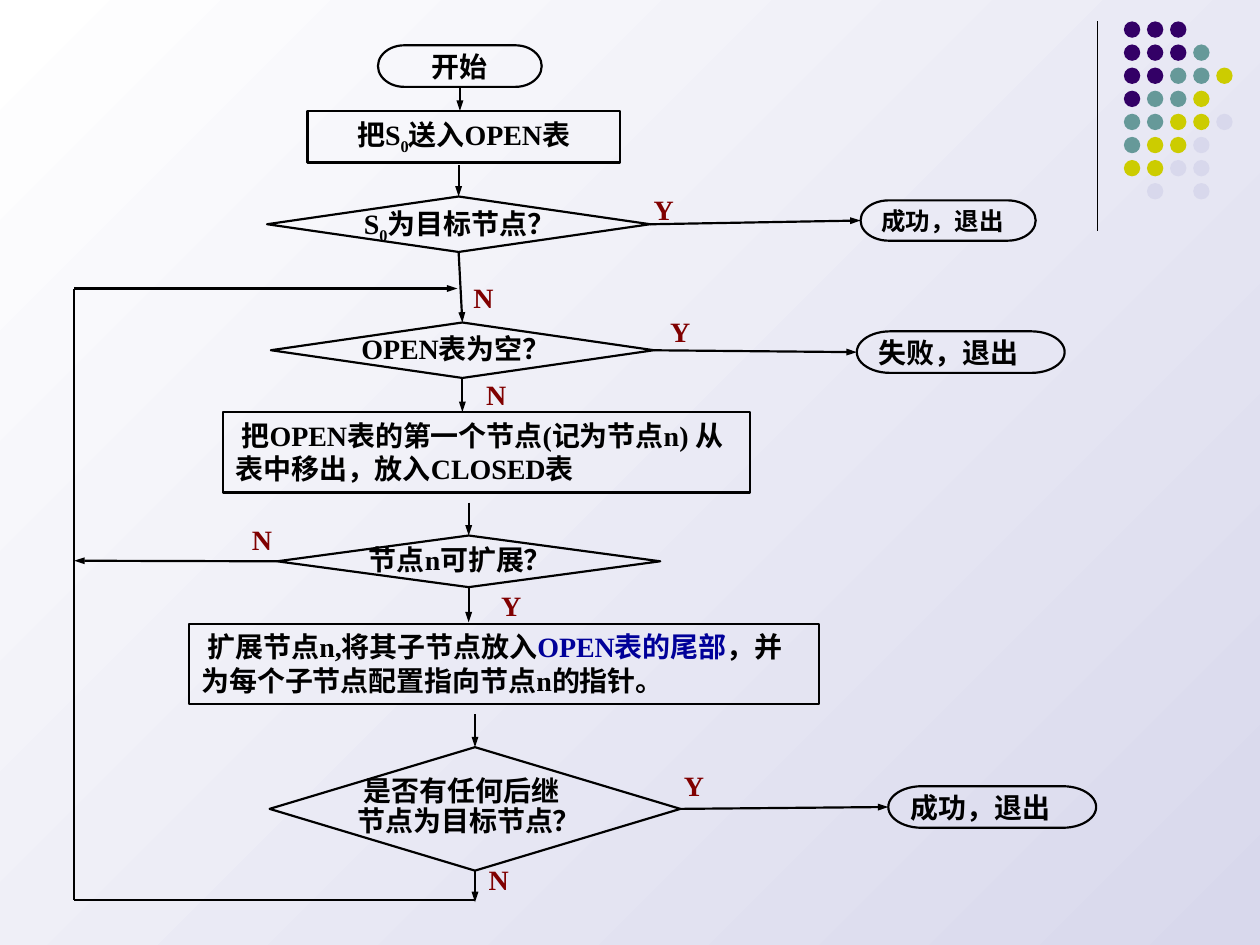
from pptx import Presentation
from pptx.dml.color import RGBColor
from pptx.enum.shapes import MSO_CONNECTOR, MSO_SHAPE
from pptx.enum.text import MSO_ANCHOR, PP_ALIGN
from pptx.util import Inches, Pt
from lxml.etree import SubElement
from pptx.oxml.ns import qn

BLACK, RED, BLUE = "000000", "800000", "000099"
TOP, LEFT, BOTTOM, RIGHT = range(4)

DOTS = ["PPP", "PPPT", "PPTTY", "PTTY", "TTYYL", "TYYL", "YYLL", ".L.L"]
TINTS = {"P": "330066", "T": "669999", "Y": "CCCC00", "L": "D8D8EC"}

# name: (left, top, width, height)
GATES = {
    "goal": (2.12, 1.56, 3.04, 0.44),
    "empty": (2.15, 2.56, 3.04, 0.44),
    "expand": (2.2, 4.25, 3.04, 0.41),
    "next": (2.14, 5.93, 3.26, 0.98),
}
# name: (box, text, size, alignment)
ENDS = {
    "start": ((3, 0.36, 1.3, 0.33), "开始", 16, PP_ALIGN.CENTER),
    "found": ((6.83, 1.59, 1.39, 0.32), "成功，退出", 14, PP_ALIGN.LEFT),
    "fail": ((6.8, 2.63, 1.65, 0.33), "失败，退出", 16, PP_ALIGN.LEFT),
    "done": ((7.05, 6.24, 1.65, 0.33), "成功，退出", 16, PP_ALIGN.LEFT),
}
# box, alignment, first-line indent, runs (text, colour, subscript)
STEPS = [
    ((2.44, 0.88, 2.48, 0.41), PP_ALIGN.CENTER, 0,
     [("把S", BLACK), ("0", BLACK, True), ("送入OPEN表", BLACK)]),
    ((1.77, 3.27, 4.18, 0.64), PP_ALIGN.LEFT, 0.05,
     [("把OPEN表的第一个节点(记为节点n) 从表中移出，放入CLOSED表", BLACK)]),
    ((1.5, 4.95, 5, 0.64), PP_ALIGN.LEFT, 0.05,
     [("扩展节点n,将其子节点放入", BLACK), ("OPEN表的尾部", BLUE),
      ("，并为每个子节点配置指向节点n的指针。", BLACK)]),
]
# box, line spacing, paragraphs (indent, runs)
ASKS = [
    ((2.79, 1.59, 1.82, 0.38), 0.9,
     [(0, [("S", BLACK), ("0", BLACK, True), ("为目标节点？", BLACK)])]),
    ((2.77, 2.61, 1.9, 0.34), 0.9, [(0, [("OPEN表为空？", BLACK)])]),
    ((2.83, 4.33, 1.9, 0.29), 0.7, [(0, [("节点n可扩展？", BLACK)])]),
    ((2.74, 6.12, 2.12, 0.58), 0.9,
     [(0.05, [("是否有任何后继", BLACK)]), (0, [("节点为目标节点？", BLACK)])]),
]
MARKS = [
    ("Y", 5.09, 1.48), ("N", 3.66, 2.18), ("Y", 5.22, 2.45), ("N", 3.76, 2.95),
    ("N", 1.9, 4.1), ("Y", 3.88, 4.62), ("Y", 5.33, 6.05), ("N", 3.78, 6.8),
]
# from, to, arrowhead; an end is a point or (shape name, side)
LINES = [
    (("start", BOTTOM), (3.65, 0.88), True),
    ((3.64, 1.31), ("goal", TOP), True),
    (("goal", BOTTOM), ("empty", TOP), True),
    (("goal", RIGHT), ("found", LEFT), True),
    (("empty", RIGHT), ("fail", LEFT), True),
    (("empty", BOTTOM), (3.67, 3.27), True),
    ((3.72, 3.99), ("expand", TOP), True),
    (("expand", LEFT), (0.59, 4.45), True),
    (("expand", BOTTOM), (3.72, 4.94), True),
    ((3.77, 5.67), ("next", TOP), True),
    (("next", RIGHT), ("done", LEFT), True),
    (("next", BOTTOM), (3.77, 7.16), True),
    ((3.77, 7.14), (0.59, 7.14), False),
    ((0.59, 7.14), (0.59, 2.29), False),
    ((0.59, 2.29), (3.63, 2.29), True),
]

deck = Presentation()
deck.slide_width, deck.slide_height = Inches(10), Inches(7.5)
slide = deck.slides.add_slide(deck.slide_layouts[6])
shapes = slide.shapes


def color(code):
    return RGBColor.from_string(code)


def add_form(kind, box, fill=None):
    """Add a preset shape: filled without outline, or outlined only."""
    form = shapes.add_shape(kind, *map(Inches, box))
    form.shadow.inherit = False
    if fill:
        form.fill.solid()
        form.fill.fore_color.rgb = color(fill)
        form.line.fill.background()
    else:
        form.fill.background()
        form.line.color.rgb = color(BLACK)
        form.line.width = Pt(1.25)
    return form


def write(form, paras, size=16, align=PP_ALIGN.LEFT, gap=None,
          anchor=MSO_ANCHOR.TOP):
    frame = form.text_frame
    frame.word_wrap = True
    frame.vertical_anchor = anchor
    for i, (indent, runs) in enumerate(paras):
        para = frame.add_paragraph() if i else frame.paragraphs[0]
        para.alignment = align
        if gap:
            para.line_spacing = gap
        if indent:
            para._p.get_or_add_pPr().set("indent", str(Inches(indent)))
        for text, tint, *sub in runs:
            run = para.add_run()
            run.text = text
            run.font.name = "Times New Roman"
            run.font.size = Pt(size)
            run.font.bold = True
            run.font.color.rgb = color(tint)
            if sub:
                run._r.get_or_add_rPr().set("baseline", "-25000")


def add_line(start, end, arrow=False, width=1.25):
    points = [(0, 0) if isinstance(e[0], str) else e for e in (start, end)]
    line = shapes.add_connector(
        MSO_CONNECTOR.STRAIGHT, *(Inches(v) for p in points for v in p))
    for point, join in ((start, line.begin_connect), (end, line.end_connect)):
        if isinstance(point[0], str):
            join(nodes[point[0]], point[1])
    line.line.color.rgb = color(BLACK)
    line.line.width = Pt(width)
    if arrow:
        SubElement(line.line._get_or_add_ln(), qn("a:tailEnd"),
                   type="triangle", w="sm", len="med")
    SubElement(line._element.spPr, qn("a:effectLst"))


back = slide.background.fill
back.gradient()
back.gradient_angle = 135
for stop, code in zip(back.gradient_stops, ("D8D8EC", "FFFFFF")):
    stop.color.rgb = color(code)

nodes = {}
add_line((8.71, 0.17), (8.71, 1.83), width=0.75)
for row, marks in enumerate(DOTS):
    for col, mark in enumerate(marks):
        if mark in TINTS:
            spot = (8.92 + col * 0.55 / 3, 0.17 + row * 0.55 / 3, 0.13, 0.13)
            add_form(MSO_SHAPE.OVAL, spot, TINTS[mark])

for name, box in GATES.items():
    nodes[name] = add_form(MSO_SHAPE.FLOWCHART_DECISION, box)
for name, (box, text, size, align) in ENDS.items():
    nodes[name] = add_form(MSO_SHAPE.FLOWCHART_TERMINATOR, box)
    write(nodes[name], [(0, [(text, BLACK)])], size, align,
          anchor=MSO_ANCHOR.MIDDLE)
for box, align, indent, runs in STEPS:
    write(add_form(MSO_SHAPE.RECTANGLE, box), [(indent, runs)], align=align)
for box, gap, paras in ASKS:
    write(shapes.add_textbox(*map(Inches, box)), paras, gap=gap)
for start, end, arrow in LINES:
    add_line(start, end, arrow)
for text, x, y in MARKS:
    box = shapes.add_textbox(*map(Inches, (x, y, 0.37, 0.37)))
    write(box, [(0, [(text, RED)])])

deck.save("out.pptx")
